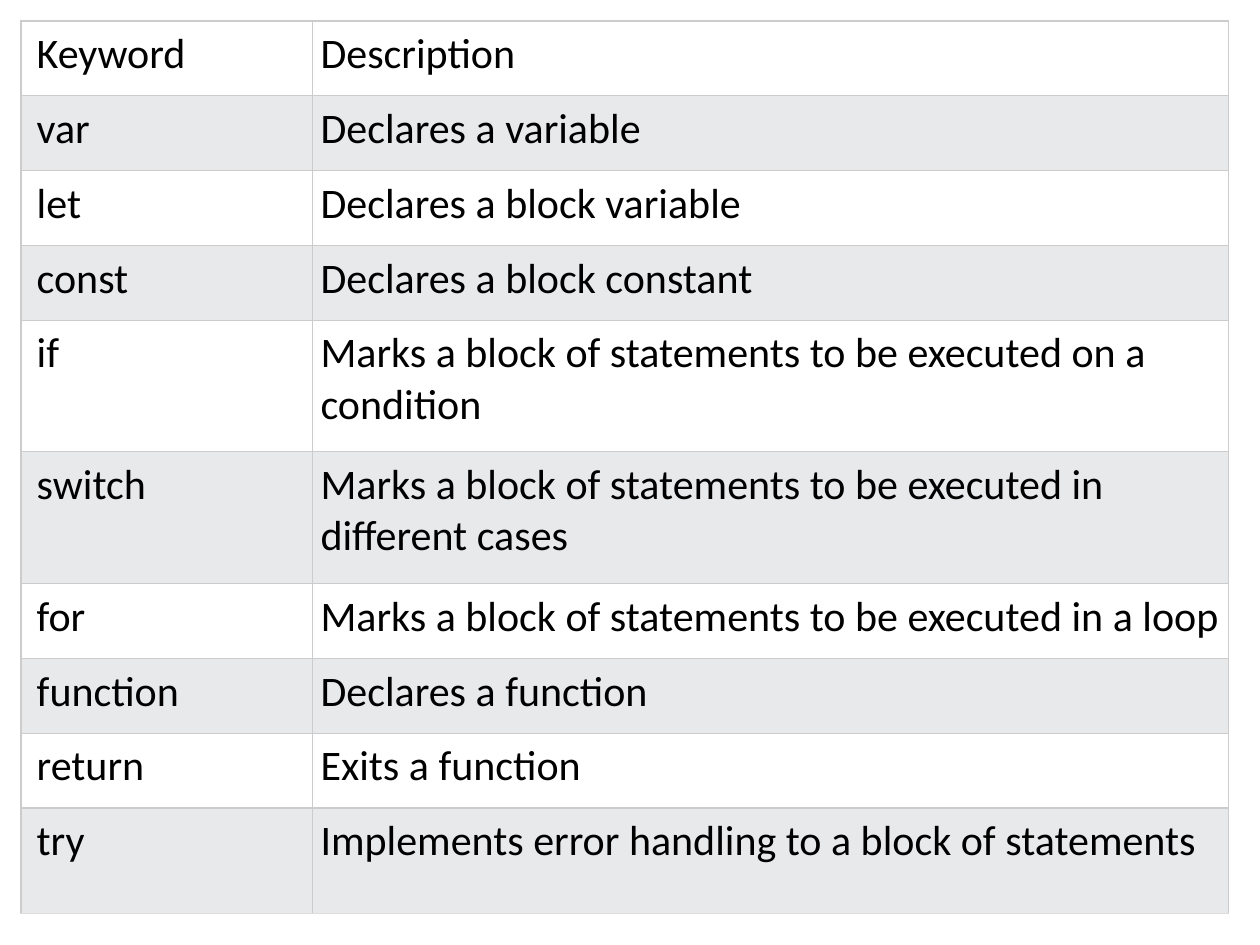
from typing import NamedTuple

from lxml import etree
from pptx import Presentation
from pptx.dml.color import RGBColor
from pptx.enum.text import MSO_ANCHOR
from pptx.oxml.ns import qn
from pptx.table import _Cell
from pptx.util import Pt

TOP = MSO_ANCHOR.TOP

BLACK = RGBColor(0x00, 0x00, 0x00)
WHITE = RGBColor(0xFF, 0xFF, 0xFF)
BAND_GREY = RGBColor(0xE7, 0xE9, 0xEB)
RULE_GREY = RGBColor(0xCC, 0xCC, 0xCC)
BOTTOM_GREY = RGBColor(0xDD, 0xDD, 0xDD)

ONE_LINE, TWO_LINES, LAST_LINE = 42.75, 75.25, 60.25
COLUMN_WIDTHS = (166.75, 523.25)
LEFT_INSETS = (9, 4.5)
INSET = 4.5
TABLE_LEFT = TABLE_TOP = 12


class Entry(NamedTuple):
    keyword: str
    description: str
    height: float = ONE_LINE


ENTRIES = (
    Entry("Keyword", "Description"),
    Entry("var", "Declares a variable"),
    Entry("let", "Declares a block variable"),
    Entry("const", "Declares a block constant"),
    Entry("if", "Marks a block of statements to be executed on a condition", TWO_LINES),
    Entry("switch", "Marks a block of statements to be executed in different cases", TWO_LINES),
    Entry("for", "Marks a block of statements to be executed in a loop"),
    Entry("function", "Declares a function"),
    Entry("return", "Exits a function"),
    Entry("try", "Implements error handling to a block of statements", LAST_LINE),
)


def write_text(cell: _Cell, text: str, *, size: float = 24,
               font: str = "Calibri", color: RGBColor = BLACK) -> None:
    run = cell.text_frame.paragraphs[0].add_run()
    run.text = text
    run.font.size = Pt(size)
    run.font.name = font
    run.font.color.rgb = color


def draw_borders(cell: _Cell, bottom: RGBColor, width: float = 0.75) -> None:
    properties = cell._tc.get_or_add_tcPr()
    sides = {"a:lnL": RULE_GREY, "a:lnR": RULE_GREY, "a:lnT": RULE_GREY, "a:lnB": bottom}
    for side, color in sides.items():
        line = etree.SubElement(properties, qn(side), w=str(int(Pt(width))))
        fill = etree.SubElement(line, qn("a:solidFill"))
        etree.SubElement(fill, qn("a:srgbClr"), val=str(color))


def format_cell(cell: _Cell, left_inset: float, fill: RGBColor, bottom: RGBColor) -> None:
    draw_borders(cell, bottom)
    cell.fill.solid()
    cell.fill.fore_color.rgb = fill
    cell.margin_left = Pt(left_inset)
    cell.margin_top = cell.margin_right = cell.margin_bottom = Pt(INSET)
    cell.vertical_anchor = TOP


def main() -> None:
    deck = Presentation()
    deck.slide_width, deck.slide_height = Pt(720), Pt(540)
    slide = deck.slides.add_slide(deck.slide_layouts[6])

    # Keyword table
    keywords = slide.shapes.add_table(
        len(ENTRIES), len(COLUMN_WIDTHS), Pt(TABLE_LEFT), Pt(TABLE_TOP),
        Pt(sum(COLUMN_WIDTHS)), Pt(sum(entry.height for entry in ENTRIES))).table
    for column, width in zip(keywords.columns, COLUMN_WIDTHS):
        column.width = Pt(width)

    # Rows alternate between white and grey
    for index, entry in enumerate(ENTRIES):
        keywords.rows[index].height = Pt(entry.height)
        band = BAND_GREY if index % 2 else WHITE
        bottom = BOTTOM_GREY if entry is ENTRIES[-1] else RULE_GREY
        for column, text in enumerate((entry.keyword, entry.description)):
            cell = keywords.cell(index, column)
            format_cell(cell, LEFT_INSETS[column], band, bottom)
            write_text(cell, text)

    deck.save("out.pptx")


if __name__ == "__main__":
    main()
